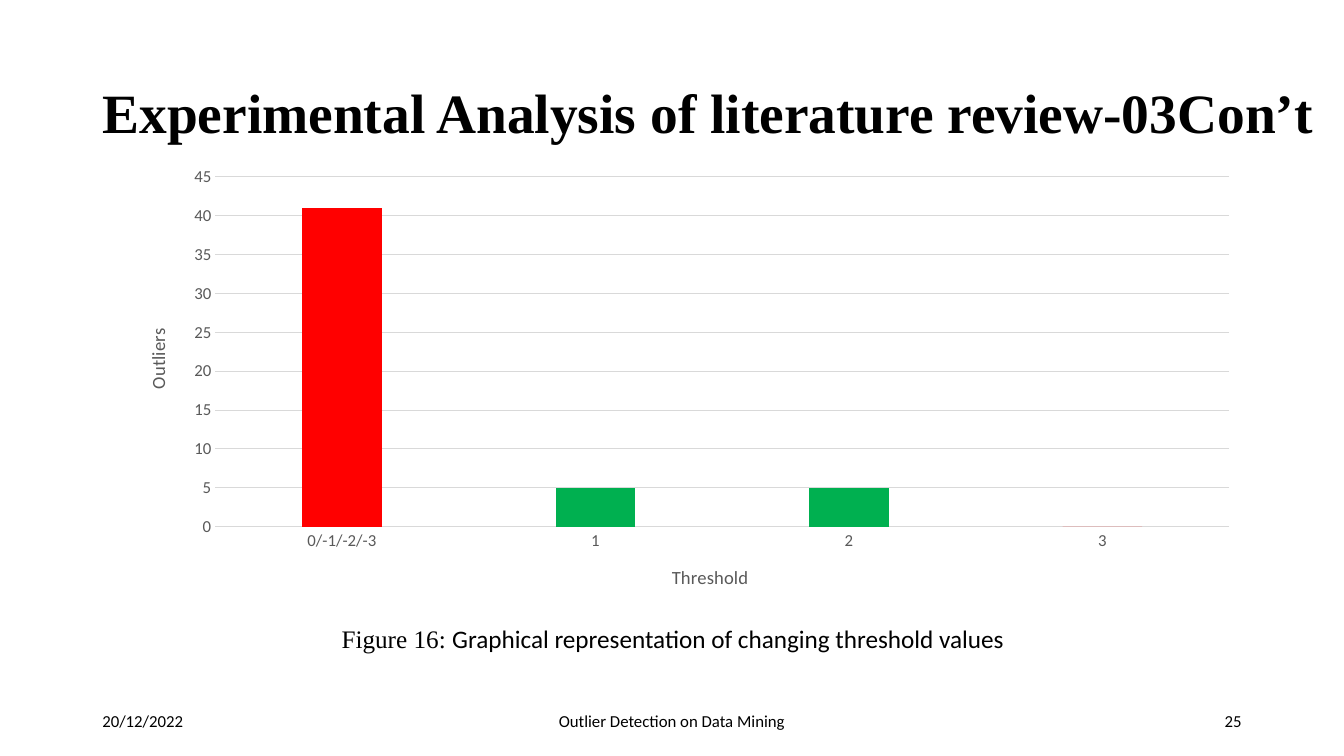
from dataclasses import dataclass

from pptx import Presentation
from pptx.chart.data import CategoryChartData
from pptx.dml.color import RGBColor
from pptx.enum.chart import XL_CHART_TYPE, XL_TICK_MARK
from pptx.enum.text import MSO_ANCHOR, MSO_AUTO_SIZE, PP_ALIGN
from pptx.oxml import parse_xml
from pptx.util import Inches, Pt

COLUMNS = XL_CHART_TYPE.COLUMN_CLUSTERED
NO_TICKS = XL_TICK_MARK.NONE
MIDDLE, TOP = MSO_ANCHOR.MIDDLE, MSO_ANCHOR.TOP
LEFT, CENTER, RIGHT = PP_ALIGN.LEFT, PP_ALIGN.CENTER, PP_ALIGN.RIGHT

CELL = Inches(1 / 12)  # the slide is a grid of 160 columns by 90 rows
SERIF, SANS = "Times New Roman", "Calibri"
BLACK, GRAY, RULE = "000000", "595959", "D9D9D9"
RED, GREEN, BLUE = "FF0000", "00B050", "4472C4"
CHART_NS = "http://schemas.openxmlformats.org/drawingml/2006/chart"


@dataclass(frozen=True)
class Area:
    column: float
    row: float
    columns: float
    rows: float

    def lengths(self) -> list[int]:
        return [round(n * CELL) for n in (self.column, self.row, self.columns, self.rows)]


@dataclass(frozen=True)
class FooterItem:
    text: str
    column: float
    columns: float
    align: PP_ALIGN


FOOTER = (
    FooterItem("20/12/2022", 11, 36, LEFT),
    FooterItem("Outlier Detection on Data Mining", 53, 54, CENTER),
    FooterItem("25", 113, 36, RIGHT),
)
OUTLIERS = {"0/-1/-2/-3": (41, RED), "1": (5, GREEN), "2": (5, GREEN), "3": (0, RED)}


def color(value: str) -> RGBColor:
    return RGBColor.from_string(value)


def style_font(font, *, size: float, face: str = SANS, fill: str = BLACK, bold: bool = False) -> None:
    font.size, font.name, font.bold = Pt(size), face, bold
    font.color.rgb = color(fill)


def add_span(para, text: str, **style) -> None:
    span = para.add_run()
    span.text = text
    style_font(span.font, **style)


def add_box(page, area: Area, *, align=LEFT, anchor=TOP, wrap: bool = True):
    """Add a text box and return its first paragraph."""
    frame = page.shapes.add_textbox(*area.lengths()).text_frame
    frame.word_wrap, frame.vertical_anchor = wrap, anchor
    para = frame.paragraphs[0]
    para.alignment = align
    return para


def place_part(part, index: int, **shares: float) -> None:
    """Fix a chart part's position, given as shares of the chart's size."""
    for old in part.findall(f"{{{CHART_NS}}}layout"):
        part.remove(old)
    target = '<c:layoutTarget val="inner"/>' if "w" in shares else ""
    modes = '<c:xMode val="edge"/><c:yMode val="edge"/>'
    sizes = "".join(f'<c:{name} val="{share}"/>' for name, share in shares.items())
    part.insert(index, parse_xml(
        f'<c:layout xmlns:c="{CHART_NS}"><c:manualLayout>{target}{modes}{sizes}'
        "</c:manualLayout></c:layout>"))


def style_axis(axis, title: str) -> None:
    axis.major_tick_mark = axis.minor_tick_mark = NO_TICKS
    style_font(axis.tick_labels.font, size=12, fill=GRAY)
    add_span(axis.axis_title.text_frame.paragraphs[0], title, size=13.3, fill=GRAY)


def style_line(line) -> None:
    line.color.rgb = color(RULE)
    line.width = Pt(0.75)


def add_outlier_chart(page, area: Area) -> None:
    data = CategoryChartData()
    data.categories = list(OUTLIERS)
    data.add_series("Series 1", [count for count, _ in OUTLIERS.values()])
    chart = page.shapes.add_chart(COLUMNS, *area.lengths(), data).chart
    chart.has_legend = chart.has_title = False
    style_font(chart.font, size=10)

    # Bars
    plot = chart.plots[0]
    plot.gap_width, plot.overlap, plot.vary_by_categories = 219, -27, False
    series = plot.series[0]
    series.format.fill.solid()
    series.format.fill.fore_color.rgb = color(BLUE)
    for index, (_, fill) in enumerate(OUTLIERS.values()):
        bar = series.points[index].format.fill
        bar.solid()
        bar.fore_color.rgb = color(fill)

    # Axes
    style_axis(chart.category_axis, "Threshold")
    style_line(chart.category_axis.format.line)
    counts = chart.value_axis
    style_axis(counts, "Outliers")
    counts.minimum_scale, counts.maximum_scale, counts.major_unit = 0, 45, 5
    counts.format.line.fill.background()
    counts.has_major_gridlines = True
    style_line(counts.major_gridlines.format.line)

    # Positions inside the chart
    root = chart.element
    place_part(root.xpath(".//c:plotArea")[0], 0, x=0.085, y=0.043, w=0.895, h=0.772)
    place_part(root.xpath(".//c:catAx/c:title")[0], 1, x=0.485, y=0.89)
    place_part(root.xpath(".//c:valAx/c:title")[0], 1, x=0.02, y=0.37)


def main() -> None:
    deck = Presentation()
    deck.slide_width, deck.slide_height = 160 * CELL, 90 * CELL
    page = deck.slides.add_slide(deck.slide_layouts[5])

    # Title
    title = page.shapes.title
    title.left, title.top, title.width, title.height = Area(11, 8.88, 149, 9.84).lengths()
    frame = title.text_frame
    frame.auto_size, frame.vertical_anchor = MSO_AUTO_SIZE.NONE, MIDDLE
    heading = frame.paragraphs[0]
    heading.alignment, heading.line_spacing = LEFT, 0.9
    add_span(heading, "Experimental Analysis of literature review-03Con’t",
             size=39.6, face=SERIF, bold=True)

    # Chart and caption
    add_outlier_chart(page, Area(14.16, 18.72, 134.88, 54))
    caption = add_box(page, Area(39.48, 73.56, 82.2, 4.8), wrap=False)
    add_span(caption, "Figure 16: ", size=18, face=SERIF)
    add_span(caption, "Graphical representation of changing threshold values", size=18)

    # Footer
    for item in FOOTER:
        para = add_box(page, Area(item.column, 83.4, item.columns, 4.8),
                       align=item.align, anchor=MIDDLE)
        add_span(para, item.text, size=12)

    deck.save("out.pptx")


if __name__ == "__main__":
    main()
